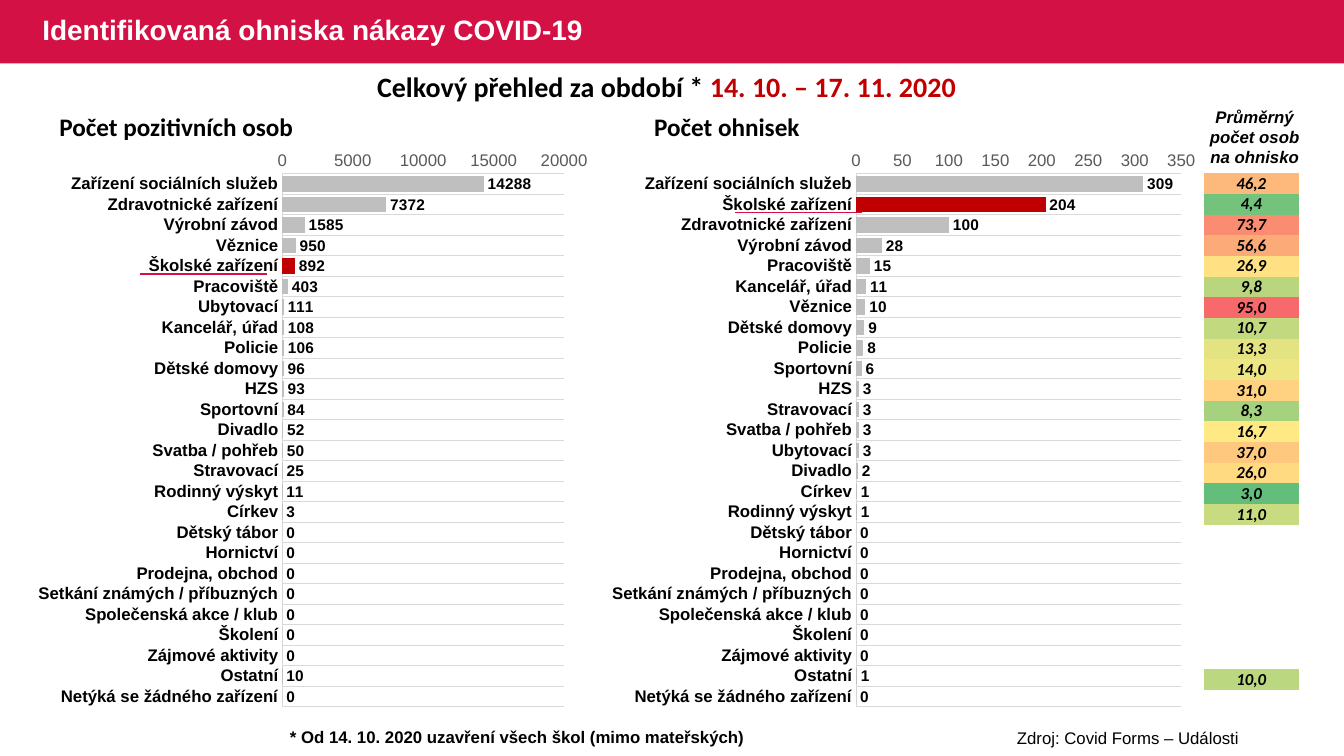
from lxml import etree
from pptx import Presentation
from pptx.chart.data import CategoryChartData
from pptx.dml.color import RGBColor
from pptx.enum.chart import XL_CHART_TYPE, XL_LABEL_POSITION, XL_TICK_MARK
from pptx.enum.shapes import MSO_CONNECTOR, MSO_SHAPE
from pptx.enum.text import MSO_ANCHOR, PP_ALIGN
from pptx.oxml import parse_xml
from pptx.oxml.ns import nsdecls, qn
from pptx.util import Pt

BAR = XL_CHART_TYPE.BAR_CLUSTERED
OUTSIDE = XL_LABEL_POSITION.OUTSIDE_END
NO_TICK = XL_TICK_MARK.NONE
RECT = MSO_SHAPE.RECTANGLE
STRAIGHT = MSO_CONNECTOR.STRAIGHT
MIDDLE = MSO_ANCHOR.MIDDLE
LEFT, CENTER = PP_ALIGN.LEFT, PP_ALIGN.CENTER

COLORS = {
    "brand": "D31145", "accent": "C00000", "bar": "BFBFBF", "grid": "D9D9D9",
    "axis": "595959", "text": "000000", "white": "FFFFFF",
}
NO_TABLE_STYLE = "{2D5ABB26-0587-4C30-8999-92F81FD0307C}"
SCHOOL = "Školské zařízení"
EMPTY_TAIL = [
    ("Dětský tábor", 0), ("Hornictví", 0), ("Prodejna, obchod", 0),
    ("Setkání známých / příbuzných", 0), ("Společenská akce / klub", 0),
    ("Školení", 0), ("Zájmové aktivity", 0),
]
PERSONS = [
    ("Zařízení sociálních služeb", 14288), ("Zdravotnické zařízení", 7372),
    ("Výrobní závod", 1585), ("Věznice", 950), (SCHOOL, 892),
    ("Pracoviště", 403), ("Ubytovací", 111), ("Kancelář, úřad", 108),
    ("Policie", 106), ("Dětské domovy", 96), ("HZS", 93), ("Sportovní", 84),
    ("Divadlo", 52), ("Svatba / pohřeb", 50), ("Stravovací", 25),
    ("Rodinný výskyt", 11), ("Církev", 3), *EMPTY_TAIL,
    ("Ostatní", 10), ("Netýká se žádného zařízení", 0),
]
OUTBREAKS = [
    ("Zařízení sociálních služeb", 309), (SCHOOL, 204),
    ("Zdravotnické zařízení", 100), ("Výrobní závod", 28), ("Pracoviště", 15),
    ("Kancelář, úřad", 11), ("Věznice", 10), ("Dětské domovy", 9),
    ("Policie", 8), ("Sportovní", 6), ("HZS", 3), ("Stravovací", 3),
    ("Svatba / pohřeb", 3), ("Ubytovací", 3), ("Divadlo", 2), ("Církev", 1),
    ("Rodinný výskyt", 1), *EMPTY_TAIL,
    ("Ostatní", 1), ("Netýká se žádného zařízení", 0),
]
AVERAGES = [
    ("46,2", "FDB97B"), ("4,4", "74C37C"), ("73,7", "FA8C72"),
    ("56,6", "FCAA78"), ("26,9", "FFE082"), ("9,8", "B9D67F"),
    ("95,0", "F8696B"), ("10,7", "C3D980"), ("13,3", "E4E382"),
    ("14,0", "EEE683"), ("31,0", "FED280"), ("8,3", "A6D17E"),
    ("16,7", "FFE984"), ("37,0", "FEC87E"), ("26,0", "FFDA81"),
    ("3,0", "63BE7B"), ("11,0", "C8DB80"), *[("", None)] * 7,
    ("10,0", "BBD780"), ("", None),
]


def rgb(value):
    return RGBColor.from_string(COLORS.get(value, value))


def style(font, size, color="text", name="Arial", bold=False, italic=False):
    font.size, font.name = Pt(size), name
    font.bold, font.italic = bold, italic
    font.color.rgb = rgb(color)


def add_run(p, text, **fmt):
    r = p.add_run()
    r.text = text
    style(r.font, **fmt)


def add_text(s, box, text, align=LEFT, **fmt):
    tf = s.shapes.add_textbox(*map(Pt, box)).text_frame
    tf.word_wrap = True
    p = tf.paragraphs[0]
    p.alignment = align
    add_run(p, text, **fmt)
    return p


def add_header(s, box):
    x, y, w, h = box
    band = s.shapes.add_shape(RECT, *map(Pt, box))
    band.shadow.inherit = False
    band.fill.solid()
    band.fill.fore_color.rgb = rgb("brand")
    band.line.fill.background()
    title = s.shapes.title
    band._element.addnext(title._element)
    title.left, title.top, title.width, title.height = map(Pt, (x + 23, y, 613, h))
    tf = title.text_frame
    tf.vertical_anchor = MIDDLE
    p = tf.paragraphs[0]
    p.alignment, p.line_spacing = LEFT, 0.9
    add_run(p, "Identifikovaná ohniska nákazy COVID-19", size=20, color="white", bold=True)


def set_plot_box(chart, fractions):
    area = chart._chartSpace.chart.plotArea
    for old in area.findall(qn("c:layout")):
        area.remove(old)
    values = "".join(f'<c:{k} val="{v}"/>' for k, v in zip("xywh", fractions))
    area.insert(0, parse_xml(
        f'<c:layout {nsdecls("c")}><c:manualLayout><c:layoutTarget val="inner"/>'
        f'<c:xMode val="edge"/><c:yMode val="edge"/>{values}</c:manualLayout></c:layout>'))


def add_bar_panel(s, box, heading, heading_x, rows, top, step, plot_x, plot_w, mark):
    x, y, w, h = box
    names, values = zip(*rows)
    data = CategoryChartData()
    data.categories = names
    data.add_series(heading, values)
    chart = s.shapes.add_chart(BAR, *map(Pt, box), data).chart
    chart.has_legend = chart.has_title = False
    style(chart.font, 10)
    set_plot_box(chart, (plot_x, 0.063, plot_w, 0.917))

    cat, val = chart.category_axis, chart.value_axis
    for axis, color in ((cat, "text"), (val, "axis")):
        axis.major_tick_mark = axis.minor_tick_mark = NO_TICK
        style(axis.tick_labels.font, 12, color, bold=axis is cat)
    cat.reverse_order = cat.has_major_gridlines = True
    for line in (cat.format.line, cat.major_gridlines.format.line):
        line.color.rgb, line.width = rgb("grid"), Pt(0.75)
    val.has_major_gridlines = False
    val.minimum_scale, val.maximum_scale, val.major_unit = 0, top, step
    val.format.line.fill.background()

    plot = chart.plots[0]
    plot.gap_width, plot.overlap, plot.vary_by_categories = 30, 100, False
    plot.has_data_labels = True
    labels = plot.data_labels
    labels.show_value, labels.position = True, OUTSIDE
    style(labels.font, 11, bold=True)
    series = plot.series[0]
    school = series.points[names.index(SCHOOL)]
    for part, color in ((series, "bar"), (school, "accent")):
        part.format.fill.solid()
        part.format.fill.fore_color.rgb = rgb(color)

    add_text(s, (x + heading_x, y - 21.6, 279, 29), heading, size=18, name="Calibri", bold=True)
    mx, my = x + mark[0], y + mark[1]
    line = s.shapes.add_connector(STRAIGHT, Pt(mx), Pt(my), Pt(mx + 90.7), Pt(my))
    line.line.color.rgb, line.line.width = rgb("brand"), Pt(1)
    etree.SubElement(line._element.spPr, qn("a:effectLst"))


def add_averages(s, box):
    x, y, w, h = box
    add_text(s, (x - 5, y - 51, 82.8, 51), "Průměrný počet osob na ohnisko",
             CENTER, size=12, bold=True, italic=True)
    table = s.shapes.add_table(len(AVERAGES), 1, *map(Pt, box)).table
    table.first_row = table.horz_banding = False
    table._tbl.tblPr.find(qn("a:tableStyleId")).text = NO_TABLE_STYLE
    for i, (text, color) in enumerate(AVERAGES):
        table.rows[i].height = Pt(h / len(AVERAGES))
        cell = table.cell(i, 0)
        cell.margin_left = cell.margin_right = Pt(0.7)
        cell.margin_top = cell.margin_bottom = 0
        cell.vertical_anchor = MIDDLE
        p = cell.text_frame.paragraphs[0]
        p.alignment = CENTER
        if text:
            add_run(p, text, size=12, name="Calibri", bold=True, italic=True)
            cell.fill.solid()
            cell.fill.fore_color.rgb = rgb(color)
        else:
            cell.fill.background()
            etree.SubElement(p._p, qn("a:endParaRPr"), sz="1200")


def add_footer(s, box):
    x, y, w, h = box
    add_text(s, (x + 200, y, 350, h), "* Od 14. 10. 2020 uzavření všech škol (mimo mateřských)",
             size=12, bold=True)
    add_text(s, (x + 666, y + 0.7, 279.4, h), "Zdroj: Covid Forms – Události", CENTER, size=12)


def main():
    prs = Presentation()
    prs.slide_width, prs.slide_height = Pt(960), Pt(540)
    s = prs.slides.add_slide(prs.slide_layouts[5])
    add_header(s, (0, 0, 960, 45.3))
    add_bar_panel(s, (0, 97.9, 425.5, 415.4), "Počet pozitivních osob", 35.3, PERSONS,
                  20000, 5000, 0.474, 0.473, (100, 97.9))
    add_bar_panel(s, (434.9, 97.9, 425.5, 415.4), "Počet ohnisek", 25.2, OUTBREAKS,
                  350, 50, 0.415, 0.546, (90, 54))
    p = add_text(s, (231, 46, 490.3, 31.5), "Celkový přehled za období * ", CENTER,
                 size=20, name="Calibri", bold=True)
    add_run(p, "14. 10. – 17. 11. 2020", size=20, name="Calibri", color="accent", bold=True)
    add_averages(s, (859.8, 123.7, 67.9, 384.5))
    add_footer(s, (0, 515.5, 960, 21.8))
    prs.save("out.pptx")


if __name__ == "__main__":
    main()
